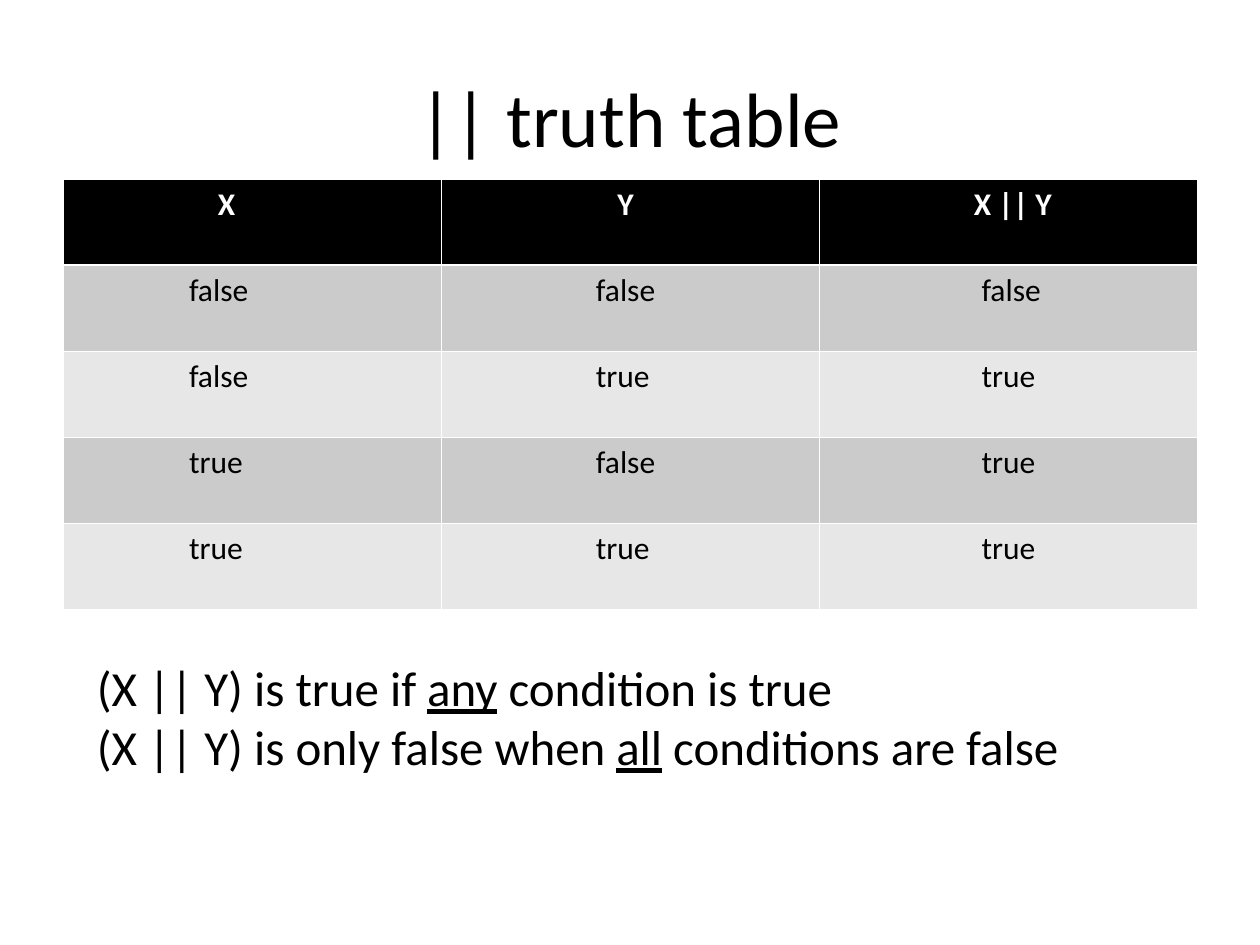
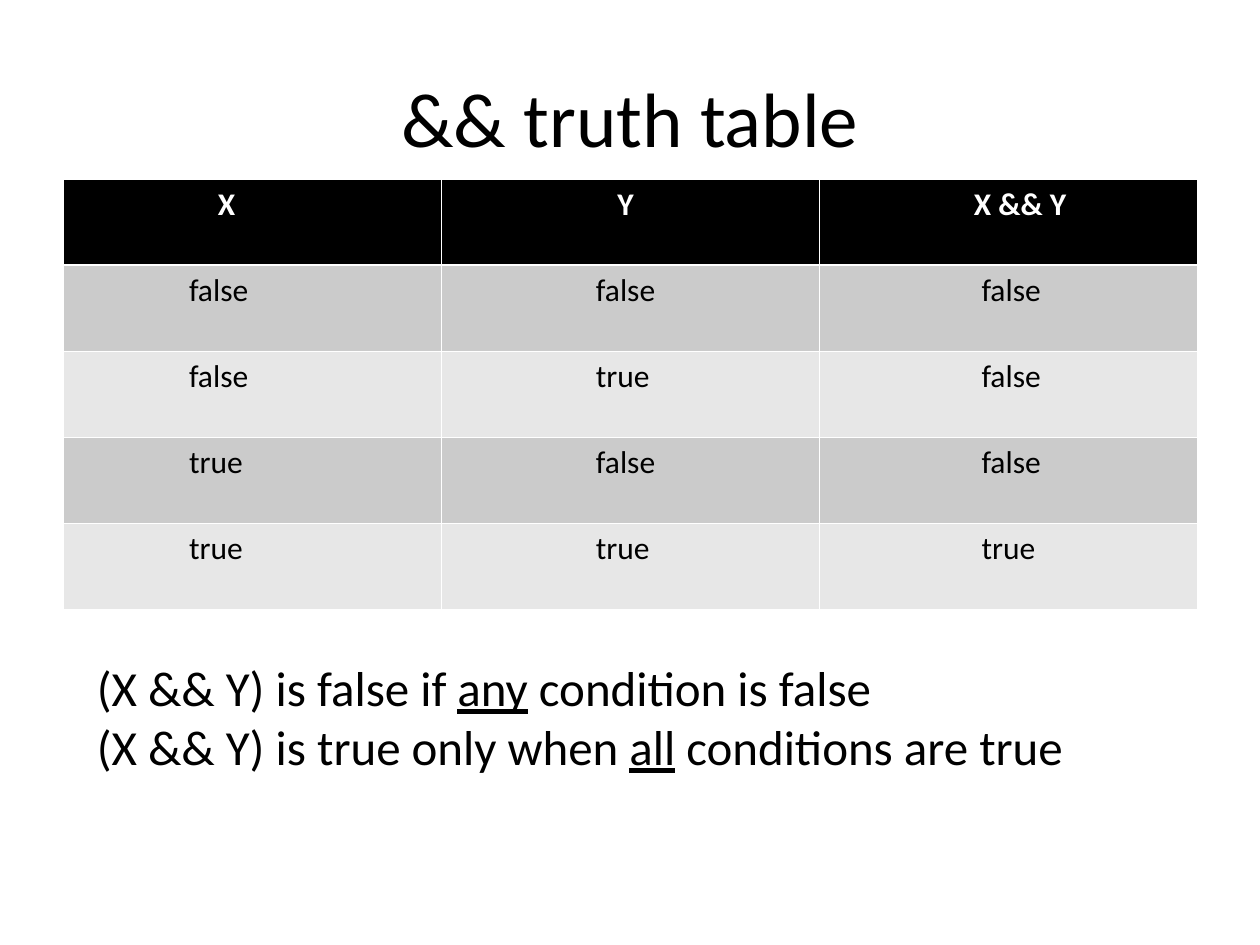
"""Builds two slides with the truth tables of the || and && operators."""
from lxml import etree
from pptx import Presentation
from pptx.dml.color import RGBColor
from pptx.enum.text import MSO_ANCHOR, PP_ALIGN
from pptx.oxml.ns import qn
from pptx.util import Inches, Pt

BLACK = RGBColor(0x00, 0x00, 0x00)
WHITE = RGBColor(0xFF, 0xFF, 0xFF)
DARK_BAND = RGBColor(0xCB, 0xCB, 0xCB)
LIGHT_BAND = RGBColor(0xE7, 0xE7, 0xE7)
FONT = "Calibri"
CENTER = PP_ALIGN.CENTER
MIDDLE = MSO_ANCHOR.MIDDLE

HEADER_INDENTS = (1.23, 1.4, 1.23)
BODY_INDENTS = (1.0, 1.23, 1.29)
ROW_HEIGHT = 0.684
THIN, THICK = 0.45, 1.47

INPUTS = (("false", "false"), ("false", "true"), ("true", "false"), ("true", "true"))
OPERATORS = (
    (
        "||",
        ("false", "true", "true", "true"),
        (
            ("(X || Y) is true if ", "any", " condition is true"),
            ("(X || Y) is only false when ", "all", " conditions are false"),
        ),
    ),
    (
        "&&",
        ("false", "false", "false", "true"),
        (
            ("(X && Y) is false if ", "any", " condition is false"),
            ("(X && Y) is true only when ", "all", " conditions are true"),
        ),
    ),
)


def set_font(para, size, color, bold=False):
    para.font.name = FONT
    para.font.size = Pt(size)
    para.font.color.rgb = color
    para.font.bold = bold


def set_borders(cell, top, bottom):
    properties = cell._tc.get_or_add_tcPr()
    edges = (("a:lnL", THIN), ("a:lnR", THIN), ("a:lnT", top), ("a:lnB", bottom))
    for position, (tag, width) in enumerate(edges):
        line = etree.Element(qn(tag), w=str(Pt(width)))
        fill = etree.SubElement(line, qn("a:solidFill"))
        etree.SubElement(fill, qn("a:srgbClr"), val=str(WHITE))
        properties.insert(position, line)


deck = Presentation()
deck.slide_width = Inches(10)
deck.slide_height = Inches(7.5)

for operator, results, rules in OPERATORS:
    page = deck.slides.add_slide(deck.slide_layouts[6])

    title = page.shapes.add_textbox(Inches(0.5), Inches(0.3), Inches(9), Inches(1.25))
    title.text_frame.word_wrap = True
    title.text_frame.vertical_anchor = MIDDLE
    para = title.text_frame.paragraphs[0]
    para.text = f"{operator} truth table"
    para.alignment = CENTER
    set_font(para, 44, BLACK)

    rows = [("X", "Y", f"X {operator} Y")]
    rows += [(*pair, result) for pair, result in zip(INPUTS, results)]
    table = page.shapes.add_table(
        len(rows), 3, Inches(0.5), Inches(1.42), Inches(9), Inches(ROW_HEIGHT * len(rows))
    ).table
    for row_index, row in enumerate(rows):
        is_header = row_index == 0
        indents = HEADER_INDENTS if is_header else BODY_INDENTS
        band = DARK_BAND if row_index % 2 else LIGHT_BAND
        for column_index, text in enumerate(row):
            cell = table.cell(row_index, column_index)
            cell.margin_left = Inches(indents[column_index])
            cell.fill.solid()
            cell.fill.fore_color.rgb = BLACK if is_header else band
            set_borders(cell, THICK if row_index == 1 else THIN, THICK if is_header else THIN)
            para = cell.text_frame.paragraphs[0]
            para.text = text
            set_font(para, 18, WHITE if is_header else BLACK, is_header)

    summary = page.shapes.add_textbox(Inches(0.67), Inches(5.17), Inches(8.67), Inches(1.04))
    frame = summary.text_frame
    frame.word_wrap = True
    for index, (before, stressed, after) in enumerate(rules):
        para = frame.add_paragraph() if index else frame.paragraphs[0]
        set_font(para, 28, BLACK)
        for text in (before, stressed, after):
            span = para.add_run()
            span.text = text
            span.font.underline = text == stressed

deck.save("out.pptx")
